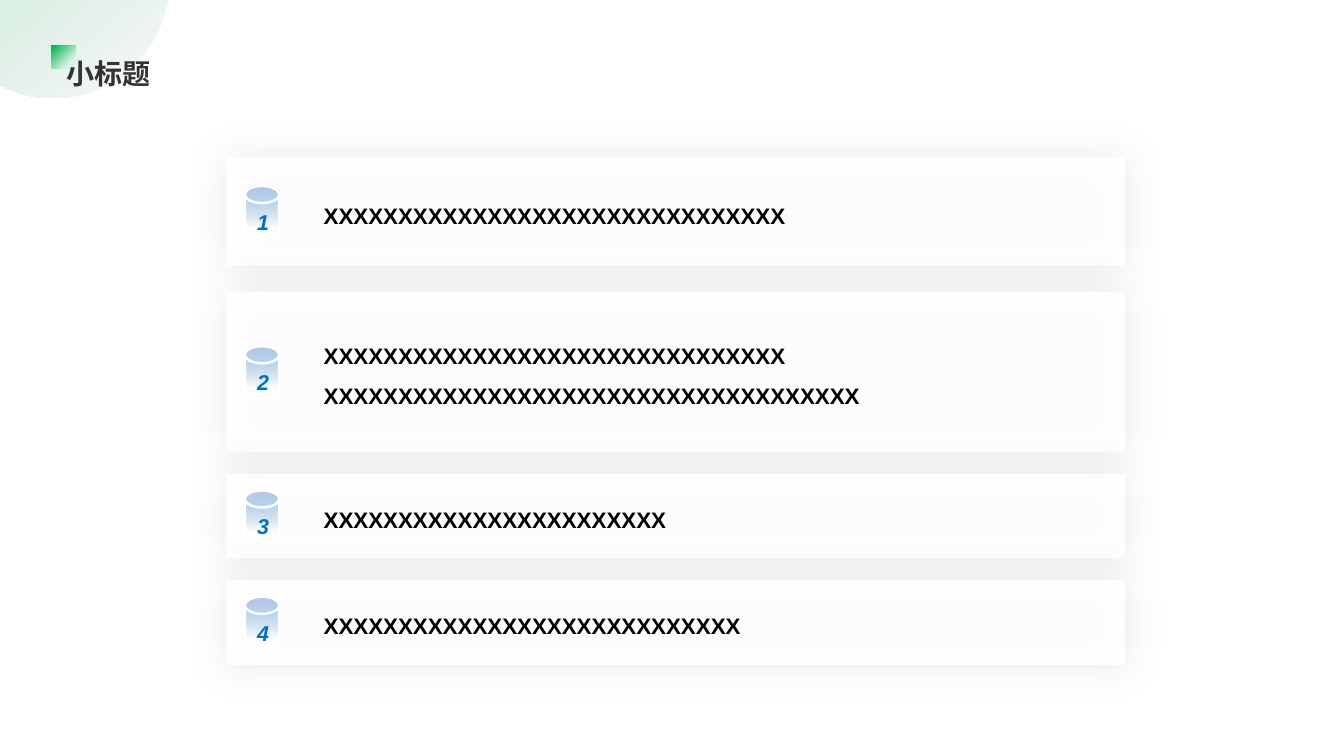
from dataclasses import dataclass

import pptx
import pptx.dml.color
import pptx.enum.shapes
import pptx.enum.text
import pptx.oxml
import pptx.oxml.ns
import pptx.util

SHAPE = pptx.enum.shapes.MSO_SHAPE
ALIGN = pptx.enum.text.PP_ALIGN
ANCHOR = pptx.enum.text.MSO_ANCHOR
FIT = pptx.enum.text.MSO_AUTO_SIZE
Pt, Inches = pptx.util.Pt, pptx.util.Inches

FONT = "Arial"
COLORS = {
    "white": "FFFFFF", "black": "000000", "title": "333333", "number": "0070C0",
    "mint": "DDF0E6", "mist": "ECF0EE", "pale_green": "D7F3E4", "green": "00B050",
    "disk_base": "5DA4D7", "disk_top": "B6C7EA",
}

prs = pptx.Presentation()
prs.slide_width, prs.slide_height = Inches(13.33), Inches(7.5)
# The slide is a grid of 100 columns by 100 rows.
COL, ROW = prs.slide_width / 100, prs.slide_height / 100

CARD_X, CARD_W = 16.8, 66.9
TEXT_X, TEXT_W = 23.18, 58.8
DISK_X, DISK_W, DISK_H = 18.22, 2.55, 6.8
LINE_H, PADDING_H = 5.46, 2.41


@dataclass
class Box:
    """Columns and rows of the grid."""
    x: float
    y: float
    w: float
    h: float

    def emu(self) -> tuple[int, ...]:
        return (round(self.x * COL), round(self.y * ROW),
                round(self.w * COL), round(self.h * ROW))


@dataclass
class Stop:
    position: float
    color: str
    alpha: int = 100


@dataclass
class Card:
    y: float
    h: float
    line_lengths: tuple[int, ...]


CARDS = [
    Card(20.8, 14.4, (31,)),
    Card(38.53, 21.33, (31, 36)),
    Card(62.67, 11.2, (23,)),
    Card(76.67, 11.33, (28,)),
]


def rgb(name: str) -> pptx.dml.color.RGBColor:
    return pptx.dml.color.RGBColor.from_string(COLORS[name])


def set_alpha(color_element, percent: int) -> None:
    alpha = pptx.oxml.parse_xml(
        f'<a:alpha {pptx.oxml.ns.nsdecls("a")} val="{percent * 1000}"/>')
    color_element.append(alpha)


def add_plain_shape(shapes, kind, box: Box):
    sp = shapes.add_shape(kind, *box.emu())
    sp.shadow.inherit = False
    sp.line.fill.background()
    return sp


def fill_gradient(sp, clockwise: float, stops: list[Stop]) -> None:
    sp.fill.gradient()
    sp.fill.gradient_angle = 360 - clockwise
    for target, stop in zip(sp.fill.gradient_stops, stops):
        target.position = stop.position
        target.color.rgb = rgb(stop.color)
    colors = sp._element.xpath("./p:spPr/a:gradFill//a:srgbClr")
    for element, stop in zip(colors, stops):
        if stop.alpha < 100:
            set_alpha(element, stop.alpha)


def add_run(p, text: str, size: float, color: str, italic: bool = False) -> None:
    r = p.add_run()
    r.text = text
    r.font.name, r.font.size = FONT, Pt(size)
    r.font.bold = True
    if italic:
        r.font.italic = True
    r.font.color.rgb = rgb(color)


def add_corner(shapes) -> None:
    circle = add_plain_shape(shapes, SHAPE.OVAL, Box(-4.73, -17.73, 17.25, 30.67))
    fill_gradient(circle, 50, [Stop(0.51, "mint"), Stop(1, "mist", 42)])
    square = add_plain_shape(shapes, SHAPE.RECTANGLE, Box(3.85, 6, 1.75, 3.07))
    fill_gradient(square, 225, [Stop(0.26, "pale_green"), Stop(1, "green")])


def place_title(shapes, text: str) -> None:
    title = shapes.title
    shapes._spTree.append(title._element)  # bring in front of the corner
    title.left, title.top, title.width, title.height = Box(4.2, 4.53, 37.88, 10.27).emu()
    tf = title.text_frame
    tf.auto_size, tf.vertical_anchor = FIT.NONE, ANCHOR.MIDDLE
    p = tf.paragraphs[0]
    p.alignment = ALIGN.LEFT
    add_run(p, text, 20, "title")


def add_panel(shapes, card: Card) -> None:
    sp = add_plain_shape(shapes, SHAPE.ROUNDED_RECTANGLE,
                         Box(CARD_X, card.y, CARD_W, card.h))
    sp.adjustments[0] = 0
    sp.fill.solid()
    sp.fill.fore_color.rgb = rgb("white")
    set_alpha(sp._element.xpath("./p:spPr/a:solidFill/a:srgbClr")[0], 90)
    glow = pptx.oxml.parse_xml(
        f'<a:outerShdw {pptx.oxml.ns.nsdecls("a")} blurRad="{Pt(30)}" dist="0" dir="0" '
        f'algn="ctr" rotWithShape="0"><a:srgbClr val="{COLORS["black"]}"/></a:outerShdw>')
    set_alpha(glow[0], 10)
    sp._element.xpath("./p:spPr/a:effectLst")[0].append(glow)


def add_lines(shapes, card: Card) -> None:
    h = PADDING_H + LINE_H * len(card.line_lengths)
    y = card.y + (card.h - h) / 2 - 0.1
    tf = shapes.add_textbox(*Box(TEXT_X, y, TEXT_W, h).emu()).text_frame
    tf.word_wrap, tf.auto_size = True, FIT.SHAPE_TO_FIT_TEXT
    tf.vertical_anchor = ANCHOR.BOTTOM
    tf.margin_left = tf.margin_right = tf.margin_top = tf.margin_bottom = Inches(0.12)
    for i, length in enumerate(card.line_lengths):
        p = tf.add_paragraph() if i else tf.paragraphs[0]
        p.alignment, p.line_spacing = ALIGN.JUSTIFY, 1.5
        add_run(p, "X" * length, 16, "black")


def add_numbered_disk(shapes, card: Card, number: int) -> None:
    y = card.y + (card.h - DISK_H) / 2
    disk = add_plain_shape(shapes, SHAPE.FLOWCHART_MAGNETIC_DISK,
                           Box(DISK_X, y, DISK_W, DISK_H))
    fill_gradient(disk, 270, [Stop(0.2, "disk_base", 0), Stop(1, "disk_top")])
    disk.line.color.rgb = rgb("white")
    disk.line.width = Pt(1.75)
    label = Box(DISK_X + 0.08, y + 2.4, DISK_W, 4.27)
    tf = shapes.add_textbox(*label.emu()).text_frame
    tf.word_wrap = True
    p = tf.paragraphs[0]
    p.alignment = ALIGN.CENTER
    add_run(p, str(number), 15.3, "number", italic=True)


def main() -> None:
    shapes = prs.slides.add_slide(prs.slide_layouts[5]).shapes
    add_corner(shapes)
    place_title(shapes, "小标题")
    for number, card in enumerate(CARDS, start=1):
        add_panel(shapes, card)
        add_lines(shapes, card)
        add_numbered_disk(shapes, card, number)
    prs.save("out.pptx")


if __name__ == "__main__":
    main()
